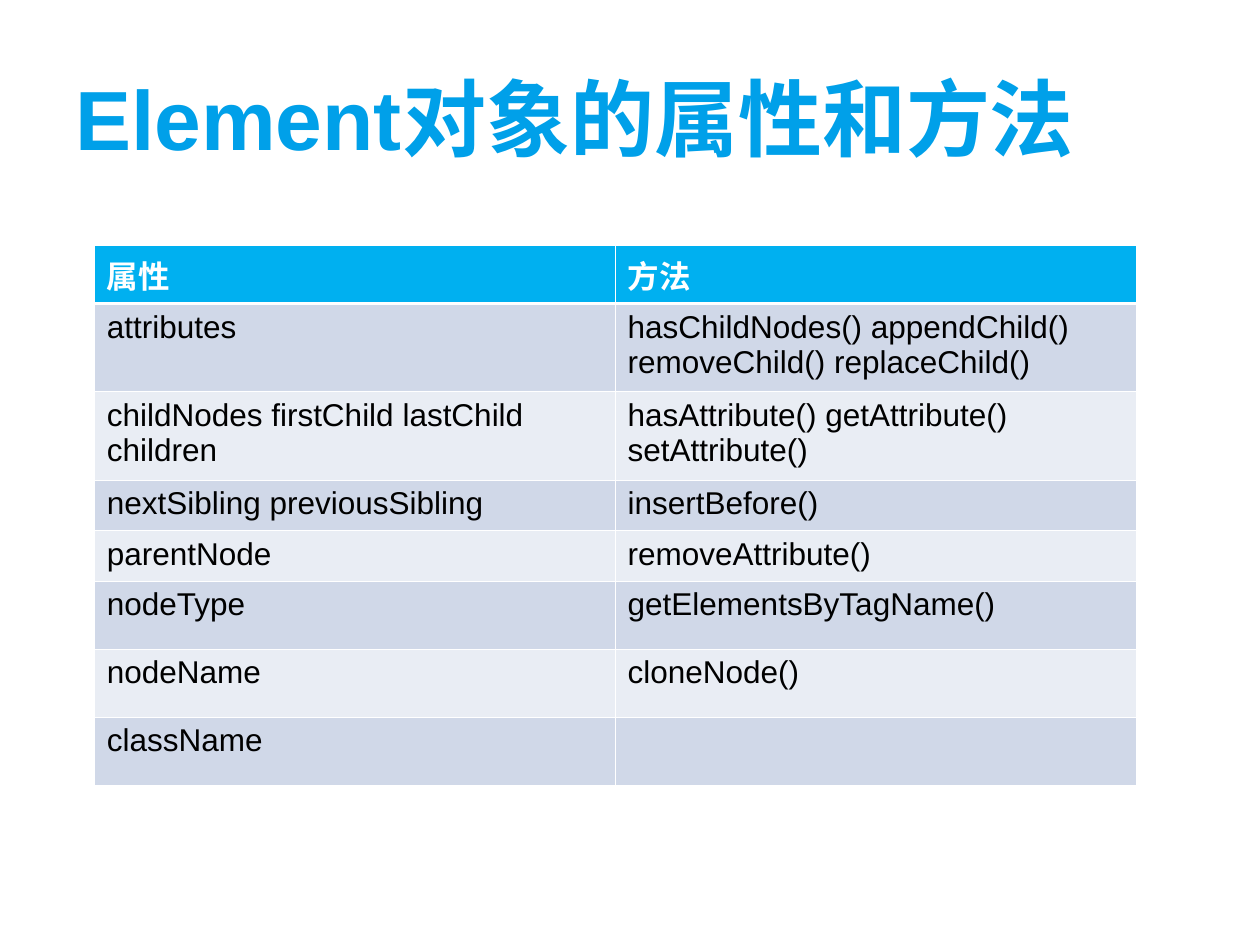
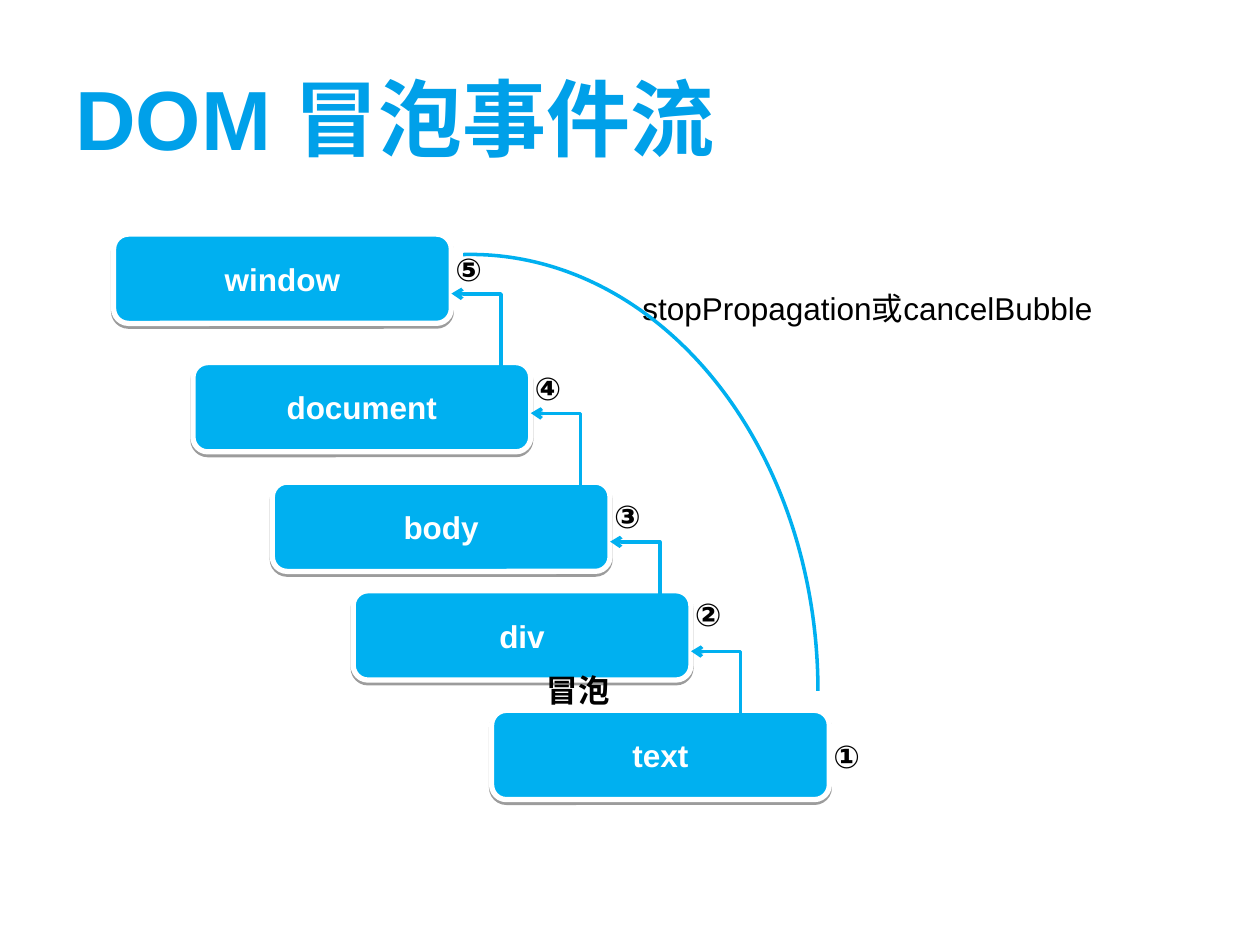
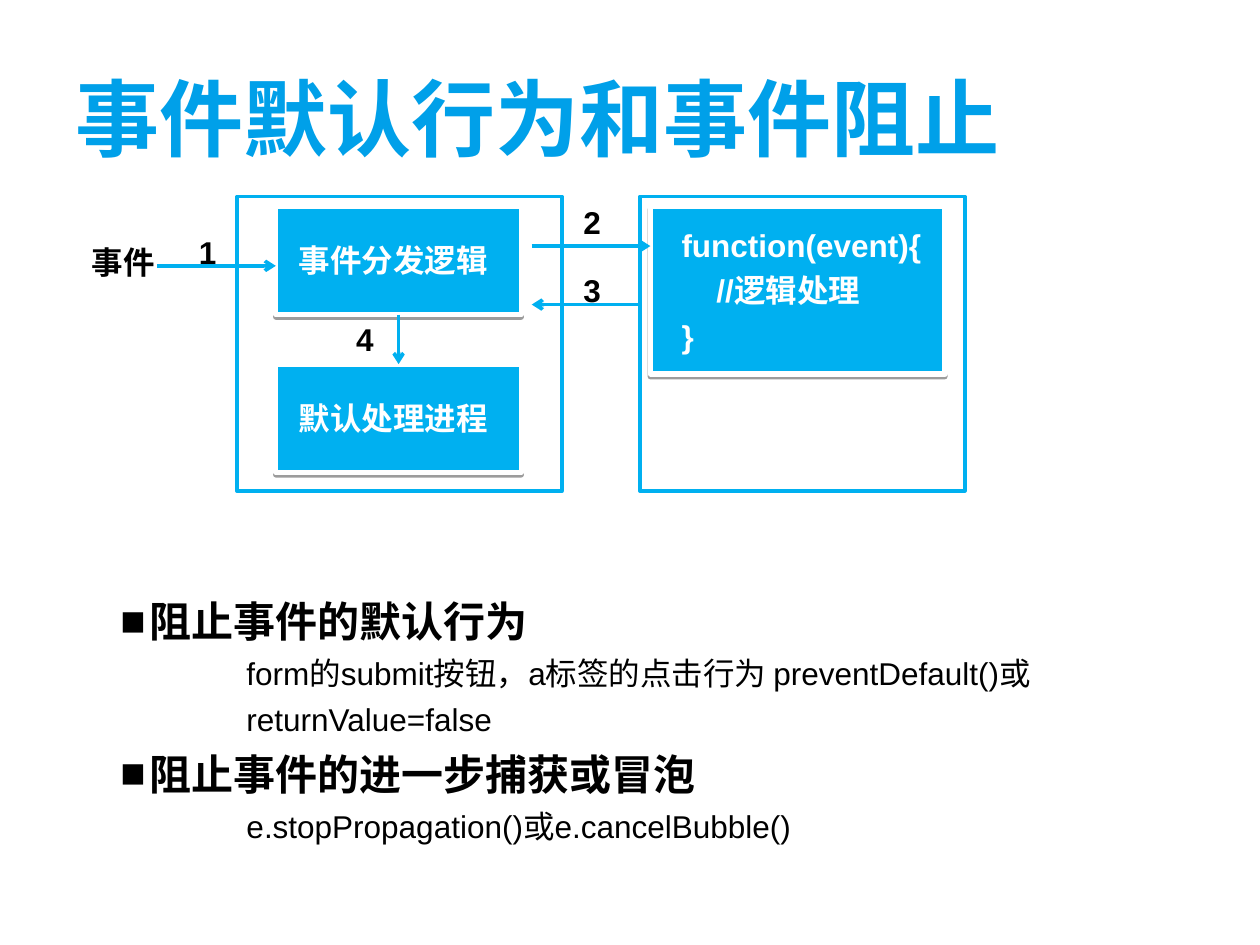
from lxml import etree
from pptx import Presentation
from pptx.dml.color import RGBColor
from pptx.enum import shapes, text
from pptx.oxml.ns import qn
from pptx.util import Cm, Pt

COLORS = {"title": "00A0E9", "accent": "00B0F0", "white": "FFFFFF",
          "black": "000000", "odd": "D0D8E8", "even": "E9EDF4"}
LATIN, CJK = "Arial", "Noto Sans CJK SC"
BODY = 18


def rgb(name):
    return RGBColor.from_string(COLORS[name])


def sub(parent, tag, **attrs):
    el = etree.SubElement(parent, qn(tag))
    for key, value in attrs.items():
        el.set(key, str(value))
    return el


def add_run(p, content, size=BODY, color="black", bold=False):
    r = p.add_run()
    r.text = content
    r.font.name, r.font.size, r.font.bold = LATIN, Pt(size), bold
    r.font.color.rgb = rgb(color)
    sub(r._r.get_or_add_rPr(), "a:ea", typeface=CJK)


def write(tf, content, align="LEFT", anchor="TOP", inset=0.25, **fmt):
    """Fill a text frame, one paragraph per line of content."""
    tf.word_wrap = True
    tf.vertical_anchor = getattr(text.MSO_ANCHOR, anchor)
    tf.margin_left = Cm(inset)
    for i, line in enumerate(content.split("\n")):
        p = tf.add_paragraph() if i else tf.paragraphs[0]
        p.alignment = getattr(text.PP_ALIGN, align)
        if i:
            p.space_before = Pt(4.5)
        add_run(p, line, **fmt)


def add_text(slide, content, x, y, w, h=1.02, **fmt):
    sp = slide.shapes.add_textbox(Cm(x), Cm(y), Cm(w), Cm(h))
    write(sp.text_frame, content, **fmt)


def add_title(slide, content):
    add_text(slide, content, 1.27, 0.76, 22.86, 3.18, anchor="MIDDLE",
             size=48, color="title", bold=True)


def add_outline(slide, kind, x, y, w, h):
    sp = slide.shapes.add_shape(kind, Cm(x), Cm(y), Cm(w), Cm(h))
    sp.shadow.inherit = False
    sp.fill.background()
    sp.line.color.rgb = rgb("accent")
    sp.line.width = Pt(2)
    return sp


def add_block(slide, kind, content, x, y, w, h, **fmt):
    """Blue block with a white rim and a thin shadow below it."""
    sp = add_outline(slide, kind, x, y, w, h)
    sp.fill.solid()
    sp.fill.fore_color.rgb = rgb("accent")
    sp.line.color.rgb = rgb("white")
    sp.line.width = Pt(3)
    effects = sp._element.spPr.find(qn("a:effectLst"))
    shadow = sub(effects, "a:outerShdw", blurRad=0, dist=Pt(1.6),
                 dir=5400000, rotWithShape=0)
    sub(sub(shadow, "a:srgbClr", val=COLORS["black"]), "a:alpha", val=38000)
    write(sp.text_frame, content, anchor="MIDDLE", color="white", bold=True, **fmt)
    return sp


def add_arrow(slide, x1, y1, x2, y2, kind=shapes.MSO_CONNECTOR.STRAIGHT):
    c = slide.shapes.add_connector(kind, Cm(x1), Cm(y1), Cm(x2), Cm(y2))
    c.line.color.rgb = rgb("accent")
    c.line.width = Pt(2)
    spPr = c._element.spPr
    sub(spPr.find(qn("a:ln")), "a:tailEnd", type="arrow")
    sub(spPr, "a:effectLst")
    return c


def add_up_left_arrow(slide, x, y, run=1.0, rise=1.6):
    """Elbow arrow that climbs by rise, then turns left and ends at (x, y)."""
    cx, cy = x + run / 2, y + rise / 2
    c = add_arrow(slide, cx - rise / 2, cy - run / 2, cx + rise / 2, cy + run / 2,
                  shapes.MSO_CONNECTOR.ELBOW)
    spPr = c._element.spPr
    xfrm = spPr.find(qn("a:xfrm"))
    xfrm.set("rot", "16200000")
    xfrm.set("flipV", "1")
    geom = spPr.find(qn("a:prstGeom"))
    guides = geom.find(qn("a:avLst"))
    if guides is None:
        guides = sub(geom, "a:avLst")
    sub(guides, "a:gd", name="adj1", fmla="val 99600")


def set_borders(cell, top, bottom):
    tcPr = cell._tc.get_or_add_tcPr()
    widths = {"a:lnL": 0.45, "a:lnR": 0.45, "a:lnT": top, "a:lnB": bottom}
    for tag, width in widths.items():
        ln = sub(tcPr, tag, w=Pt(width))
        sub(sub(ln, "a:solidFill"), "a:srgbClr", val=COLORS["white"])


def member_table(slide, x, y, w):
    rows = [
        ("属性", "方法", 1.17),
        ("attributes", "hasChildNodes() appendChild() removeChild() replaceChild()", 1.75),
        ("childNodes firstChild lastChild children",
         "hasAttribute() getAttribute() setAttribute()", 1.75),
        ("nextSibling previousSibling", "insertBefore()", 1),
        ("parentNode", "removeAttribute()", 1),
        ("nodeType", "getElementsByTagName()", 1.37),
        ("nodeName", "cloneNode()", 1.37),
        ("className", "", 1.37),
    ]
    height = sum(row[-1] for row in rows)
    table = slide.shapes.add_table(len(rows), 2, Cm(x), Cm(y), Cm(w), Cm(height)).table
    for i, (*cells, row_height) in enumerate(rows):
        table.rows[i].height = Cm(row_height)
        head = i == 0
        fill = "accent" if head else "odd" if i % 2 else "even"
        for j, content in enumerate(cells):
            cell = table.cell(i, j)
            set_borders(cell, 1.47 if i == 1 else 0.45, 1.47 if head else 0.45)
            cell.fill.solid()
            cell.fill.fore_color.rgb = rgb(fill)
            if content:
                add_run(cell.text_frame.paragraphs[0], content,
                        color="white" if head else "black", bold=head)


def bubble_diagram(slide, x, y):
    box_w, box_h = 6.81, 1.8
    # name, box offset, arrow tip below box top, number, number below box top
    steps = [("window", 0, 0, 1.2, "⑤", 0.2),
             ("document", 1.6, 2.59, 1.02, "④", 0),
             ("body", 3.2, 5, 1.2, "③", 0.18),
             ("div", 4.83, 7.19, 1.22, "②", -0.03),
             ("text", 7.62, 9.6, None, "①", 0.41)]
    add_text(slide, "stopPropagation或cancelBubble", x + 10.41, y + 0.99, 10.59)
    for name, dx, dy, *_ in steps:
        add_block(slide, shapes.MSO_SHAPE.ROUNDED_RECTANGLE, name,
                  x + dx, y + dy, box_w, box_h, align="CENTER")
    for _, dx, dy, tip, number, drop in steps:
        if tip is not None:
            add_up_left_arrow(slide, x + dx + box_w, y + dy + tip)
        add_text(slide, number, x + dx + 6.64, y + dy + drop, 1.14, bold=True)
    arc = add_outline(slide, shapes.MSO_SHAPE.ARC, x + 0.2, y + 0.41, 14, 17.6)
    arc.adjustments[0] = 269 * 0.6  # start angle of 269 degrees
    add_text(slide, "冒泡", x + 8.1, y + 8.69, 2.54, align="CENTER", bold=True)


def dispatch_diagram(slide, x, y):
    rect = shapes.MSO_SHAPE.RECTANGLE
    for dx in (3.18, 11.3):
        add_outline(slide, rect, x + dx, y, 6.55, 5.94)
    dispatch, default = [
        add_block(slide, rect, name, x + 3.96, y + dy, 4.95, 2.18, inset=0.46)
        for name, dy in (("事件分发逻辑", 0.2), ("默认处理进程", 3.38))]
    add_block(slide, rect, "function(event){\n    //逻辑处理\n}",
              x + 11.51, y + 0.2, 5.94, 3.38, inset=0.63)
    for x1, x2, dy in ((1.57, 3.96, 1.4), (9.12, 11.51, 1), (11.3, 9.12, 2.18)):
        add_arrow(slide, x + x1, y + dy, x + x2, y + dy)
    down = add_arrow(slide, x, y, x, y)
    down.begin_connect(dispatch, 2)
    down.end_connect(default, 0)
    add_text(slide, "事件", x, y + 0.81, 2.39, bold=True)
    for number, dx, dy in (("1", 2.16, 0.61), ("2", 9.91, 0),
                           ("3", 9.91, 1.37), ("4", 5.33, 2.36)):
        add_text(slide, number, x + dx, y + dy, 0.79, bold=True)


def prevention_notes(slide, x, y, w, h):
    notes = [
        ("阻止事件的默认行为",
         ["form的submit按钮，a标签的点击行为 preventDefault()或", "returnValue=false"]),
        ("阻止事件的进一步捕获或冒泡", ["e.stopPropagation()或e.cancelBubble()"]),
    ]
    tf = slide.shapes.add_textbox(Cm(x), Cm(y), Cm(w), Cm(h)).text_frame
    tf.word_wrap = True
    for i, (heading, details) in enumerate(notes):
        p = tf.add_paragraph() if i else tf.paragraphs[0]
        if i:
            p.space_before = Pt(6)
        pPr = p._p.get_or_add_pPr()
        pPr.set("marL", str(Cm(0.58)))
        pPr.set("indent", str(Cm(-0.58)))
        sub(sub(pPr, "a:buClr"), "a:srgbClr", val=COLORS["black"])
        sub(pPr, "a:buFont", typeface=LATIN)
        sub(pPr, "a:buChar", char="■")
        add_run(p, heading, size=24, bold=True)
        for detail in details:
            p = tf.add_paragraph()
            p.space_before = Pt(4.5)
            p._p.get_or_add_pPr().set("marL", str(Cm(2.54)))
            add_run(p, detail)


def main():
    prs = Presentation()
    prs.slide_width, prs.slide_height = Cm(25.4), Cm(19.05)
    titles = ["Element对象的属性和方法", "DOM 冒泡事件流", "事件默认行为和事件阻止"]
    slides = [prs.slides.add_slide(prs.slide_layouts[6]) for _ in titles]
    for slide, title in zip(slides, titles):
        add_title(slide, title)
    members, bubbling, prevention = slides
    member_table(members, 1.9, 4.95, 21)
    bubble_diagram(bubbling, 2.29, 4.72)
    dispatch_diagram(prevention, 1.6, 3.96)
    prevention_notes(prevention, 2.18, 11.89, 21.82, 5.3)
    prs.save("out.pptx")


if __name__ == "__main__":
    main()
